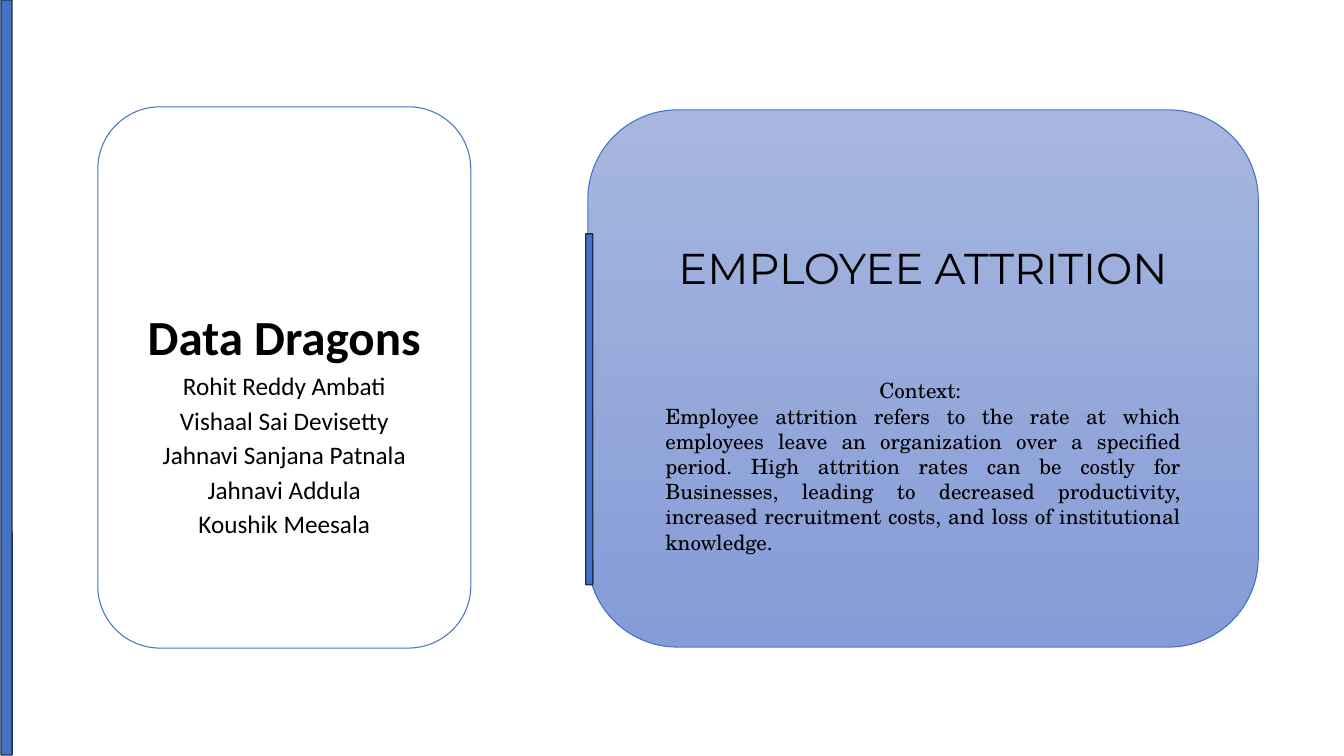
import pptx
import pptx.util
import pptx.dml.color
import pptx.enum.shapes
import pptx.enum.text
from dataclasses import dataclass

Inches = pptx.util.Inches
Pt = pptx.util.Pt
Align = pptx.enum.text.PP_ALIGN
Anchor = pptx.enum.text.MSO_ANCHOR
Color = pptx.dml.color.RGBColor.from_string


@dataclass(frozen=True)
class Theme:
    blue: str = "4472C4"
    navy: str = "1C3052"
    ink: str = "000000"
    fade: tuple = ("A6B6DE", "859CD7")
    title: float = 30.8
    team: float = 35
    name: float = 18
    body: float = 15


theme = Theme()
deck = pptx.Presentation()
deck.slide_width, deck.slide_height = Inches(13.33), Inches(7.5)
slide = deck.slides.add_slide(deck.slide_layouts[6])


def panel(box, curve, edge, width):
    """Add a rounded rectangle with an outline and no shadow."""
    shape = slide.shapes.add_shape(
        pptx.enum.shapes.MSO_SHAPE.ROUNDED_RECTANGLE, *map(Inches, box))
    shape.adjustments[0] = curve
    shape.shadow.inherit = False
    shape.line.color.rgb = Color(edge)
    shape.line.width = Pt(width)
    return shape


def write(text, frame, size, font="Calibri", bold=False,
          align=Align.CENTER, space=1.0, before=0):
    """Fill the first paragraph of a frame, or add one after it."""
    para = frame.paragraphs[0]
    if para.runs:
        para = frame.add_paragraph()
    para.alignment = align
    para.line_spacing = space
    para.space_before = Pt(before)
    run = para.add_run()
    run.text = text
    run.font.name = font
    run.font.size = Pt(size)
    run.font.bold = bold
    run.font.color.rgb = Color(theme.ink)


# Cards
panel((0.97, 1.06, 3.7, 5.37), 0.167, theme.blue, 0.75).fill.background()
card = panel((5.83, 1.09, 6.65, 5.33), 0.167, theme.blue, 0.75)
card.fill.gradient()
card.fill.gradient_angle = 270
for stop, shade in zip(card.fill.gradient_stops, theme.fade):
    stop.color.rgb = Color(shade)
for stop, place in zip(card.fill.gradient_stops, (0, 1)):
    stop.position = place

# Accent bars
for box in ((0.01, 0, 0.11, 7.49), (5.81, 2.32, 0.07, 3.48)):
    bar = panel(box, 0.036, theme.navy, 1)
    bar.fill.solid()
    bar.fill.fore_color.rgb = Color(theme.blue)

# Text boxes
frames = []
for box, anchor in (((5.78, 2.3, 6.75, 0.7), Anchor.MIDDLE),
                    ((0.6, 2.99, 4.44, 2.6), Anchor.TOP),
                    ((6.5, 3.7, 5.31, 1.88), Anchor.TOP)):
    frame = slide.shapes.add_textbox(*map(Inches, box)).text_frame
    frame.word_wrap = True
    frame.vertical_anchor = anchor
    frames.append(frame)
title, team, body = frames

write("EMPLOYEE ATTRITION", title, theme.title, font="Montserrat")

write("Data Dragons", team, theme.team, bold=True)
for name in ("Rohit Reddy Ambati", "Vishaal Sai Devisetty",
             "Jahnavi Sanjana Patnala", "Jahnavi Addula", "Koushik Meesala"):
    write(name, team, theme.name, space=0.7, before=9.6)

serif = "TeX Gyre Schola"
write("Context: ", body, theme.body, font=serif)
write("Employee attrition refers to the rate at which employees leave an "
      "organization over a specified period. High attrition rates can be "
      "costly for Businesses, leading to decreased productivity, increased "
      "recruitment costs, and loss of institutional knowledge. ",
      body, theme.body, font=serif, align=Align.JUSTIFY)

deck.save("out.pptx")
